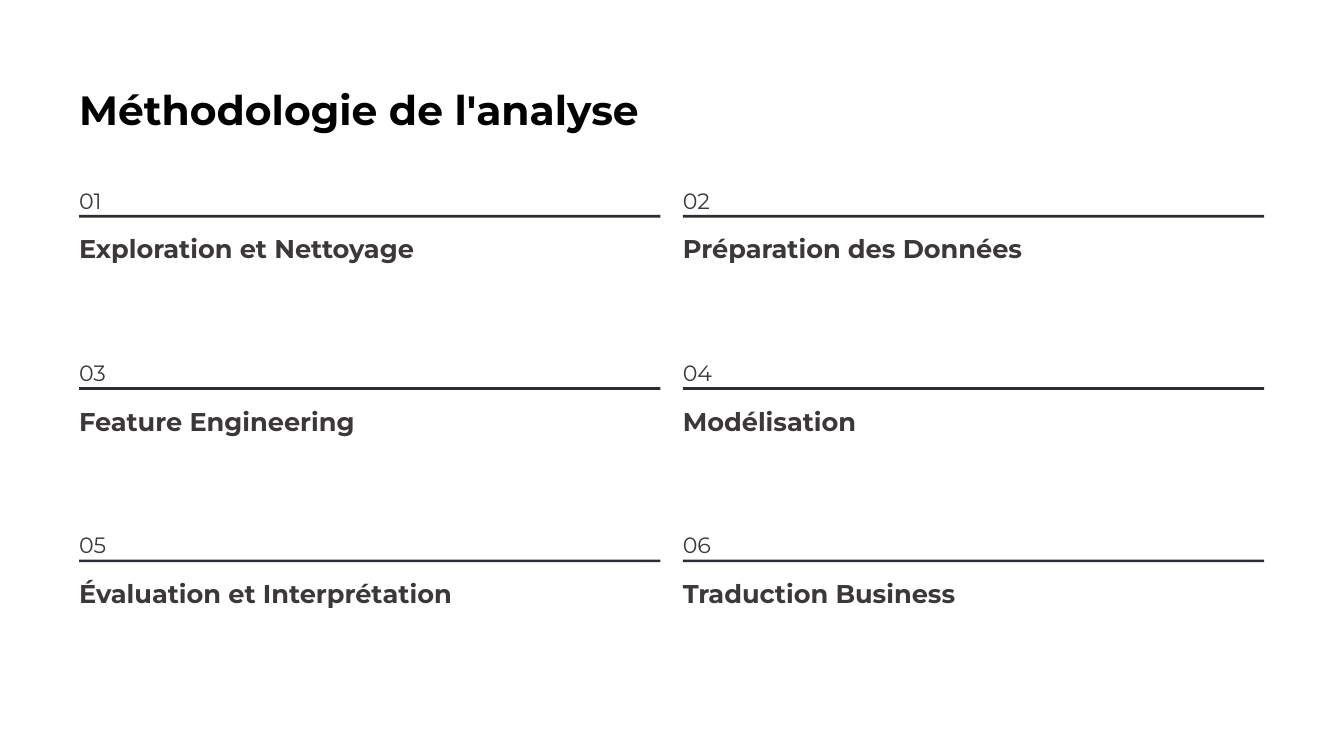
from pptx import Presentation
from pptx.dml.color import RGBColor
from pptx.enum.shapes import MSO_SHAPE
from pptx.enum.text import MSO_ANCHOR, MSO_AUTO_SIZE, PP_ALIGN
from pptx.util import Cm, Pt

RECT = MSO_SHAPE.RECTANGLE
TOP = MSO_ANCHOR.TOP
FIXED = MSO_AUTO_SIZE.NONE
LEFT = PP_ALIGN.LEFT

FONT = "Montserrat"
COLORS = {"title": "000000", "text": "3D3838", "rule": "2D2E34"}
STEPS = [
    "Exploration et Nettoyage",
    "Préparation des Données",
    "Feature Engineering",
    "Modélisation",
    "Évaluation et Interprétation",
    "Traduction Business",
]

# Grid, in centimetres
EDGE, FIRST = 2.39, 5.44
WIDTH, COL, ROW = 17.58, 18.26, 5.21


class Page:
    def __init__(self, slide):
        self.slide = slide

    def style(self, shape, text, size, lead, color="text", bold=True):
        frame = shape.text_frame
        frame.text = text
        frame.word_wrap = True
        frame.auto_size = FIXED
        frame.vertical_anchor = TOP
        frame.margin_left = frame.margin_right = 0
        frame.margin_top = frame.margin_bottom = 0
        par = frame.paragraphs[0]
        par.alignment = LEFT
        par.line_spacing = Pt(lead)
        par.space_before = Pt(0)
        font = par.runs[0].font
        font.name, font.size, font.bold = FONT, Pt(size), bold
        font.color.rgb = RGBColor.from_string(COLORS[color])

    def title(self, text):
        shape = self.slide.shapes.title
        shape.left, shape.top = Cm(EDGE), Cm(2.49)
        shape.width, shape.height = Cm(WIDTH), Cm(1.55)
        self.style(shape, text, 35, 44, "title")

    def label(self, x, y, high, text, size, lead, bold=True):
        box = self.slide.shapes.add_textbox(Cm(x), Cm(y), Cm(WIDTH), Cm(high))
        self.style(box, text, size, lead, bold=bold)

    def rule(self, x, y):
        bar = self.slide.shapes.add_shape(RECT, Cm(x), Cm(y), Cm(WIDTH), Cm(0.08))
        bar.shadow.inherit = False
        bar.fill.solid()
        bar.fill.fore_color.rgb = RGBColor.from_string(COLORS["rule"])
        bar.line.fill.background()

    def step(self, x, y, num, name):
        self.label(x, y, 0.86, f"{num:02}", 19, 29, bold=False)
        self.rule(x, y + 1.06)
        self.label(x, y + 1.57, 0.97, name, 22, 27.5)


def main():
    deck = Presentation()
    deck.slide_width, deck.slide_height = Cm(40.64), Cm(22.86)
    page = Page(deck.slides.add_slide(deck.slide_layouts[5]))
    page.title("Méthodologie de l'analyse")

    # Six steps in two columns
    for i, name in enumerate(STEPS):
        row, col = divmod(i, 2)
        page.step(EDGE + col * COL, FIRST + row * ROW, i + 1, name)

    deck.save("out.pptx")


if __name__ == "__main__":
    main()
